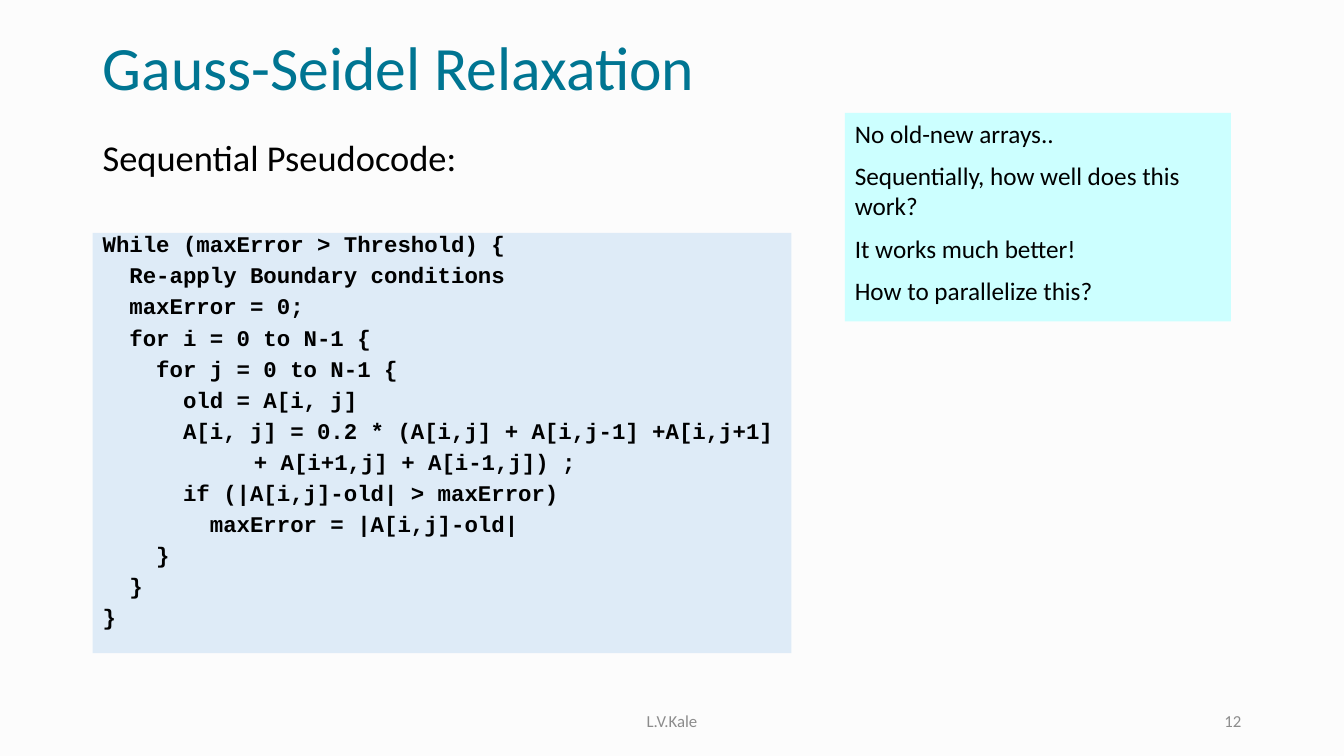
from pptx import Presentation
from pptx.dml.color import RGBColor
from pptx.enum.shapes import MSO_SHAPE
from pptx.enum.text import MSO_ANCHOR, PP_ALIGN
from pptx.util import Inches, Pt

RECT = MSO_SHAPE.RECTANGLE
TOP, MIDDLE = MSO_ANCHOR.TOP, MSO_ANCHOR.MIDDLE
LEFT, CENTER, RIGHT = PP_ALIGN.LEFT, PP_ALIGN.CENTER, PP_ALIGN.RIGHT
COLORS = {"back": "FCFCFC", "title": "007592", "text": "000000",
          "footer": "8C8C8C", "code": "DEEBF7", "notes": "CCFFFF"}
WIDTH, HEIGHT = 13.33, 7.5
MARGIN = 0.92
FOOT_Y, FOOT_H = 6.95, 0.4
GAP = 8.75  # points between paragraphs

prs = Presentation()
prs.slide_width, prs.slide_height = Inches(WIDTH), Inches(HEIGHT)
s = prs.slides.add_slide(prs.slide_layouts[6])
s.background.fill.solid()
s.background.fill.fore_color.rgb = RGBColor.from_string(COLORS["back"])


def add_text(box, lines, size, color="text", font="Calibri", bold=False,
             fill=None, anchor=TOP, align=LEFT, spacing=1.0):
    """Place lines of text in a box, on a filled panel if fill is given."""
    area = [Inches(v) for v in box]
    if fill:
        sp = s.shapes.add_shape(RECT, *area)
        sp.shadow.inherit = False
        sp.fill.solid()
        sp.fill.fore_color.rgb = RGBColor.from_string(COLORS[fill])
        sp.line.fill.background()
    else:
        sp = s.shapes.add_textbox(*area)
    tf = sp.text_frame
    tf.word_wrap = True
    tf.vertical_anchor = anchor
    for i, line in enumerate(lines):
        p = tf.add_paragraph() if i else tf.paragraphs[0]
        p.alignment = align
        p.line_spacing = spacing
        if i:
            p.space_before = Pt(GAP)
        r = p.add_run()
        r.text = line
        r.font.name, r.font.size, r.font.bold = font, Pt(size), bold
        r.font.color.rgb = RGBColor.from_string(COLORS[color])


# Title and subtitle
add_text((MARGIN, 0.28, WIDTH - 2 * MARGIN, 0.84), ["Gauss-Seidel Relaxation"],
         44, "title", anchor=MIDDLE, spacing=0.9)
add_text((MARGIN, 1.29, 5.83, 0.54), ["Sequential Pseudocode:"], 26)

# Code panel
code = [
    "While (maxError > Threshold) {",
    "  Re-apply Boundary conditions",
    "  maxError = 0;",
    "  for i = 0 to N-1 {",
    "    for j = 0 to N-1 {",
    "      old = A[i, j]",
    "      A[i, j] = 0.2 * (A[i,j] + A[i,j-1] +A[i,j+1]",
    "\t\t\t+ A[i+1,j] + A[i-1,j]) ;",
    "      if (|A[i,j]-old| > maxError)",
    "        maxError = |A[i,j]-old|",
    "    }",
    "  }",
    "}",
]
add_text((MARGIN, 2.31, 6.93, 4.17), code, 16, font="Courier New", bold=True,
         fill="code", spacing=0.7)

# Remarks panel
remarks = ["No old-new arrays..", "Sequentially, how well does this work?",
           "It works much better!", "How to parallelize this?"]
add_text((8.38, 1.12, 3.83, 2.07), remarks, 18, fill="notes")

# Footer: author centred, page number at the right margin
for text, width, left, align in [
        ("L.V.Kale", 4.5, (WIDTH - 4.5) / 2, CENTER),
        ("12", 3, WIDTH - MARGIN - 3, RIGHT)]:
    add_text((left, FOOT_Y, width, FOOT_H), [text], 12, "footer",
             anchor=MIDDLE, align=align)

prs.save("out.pptx")
